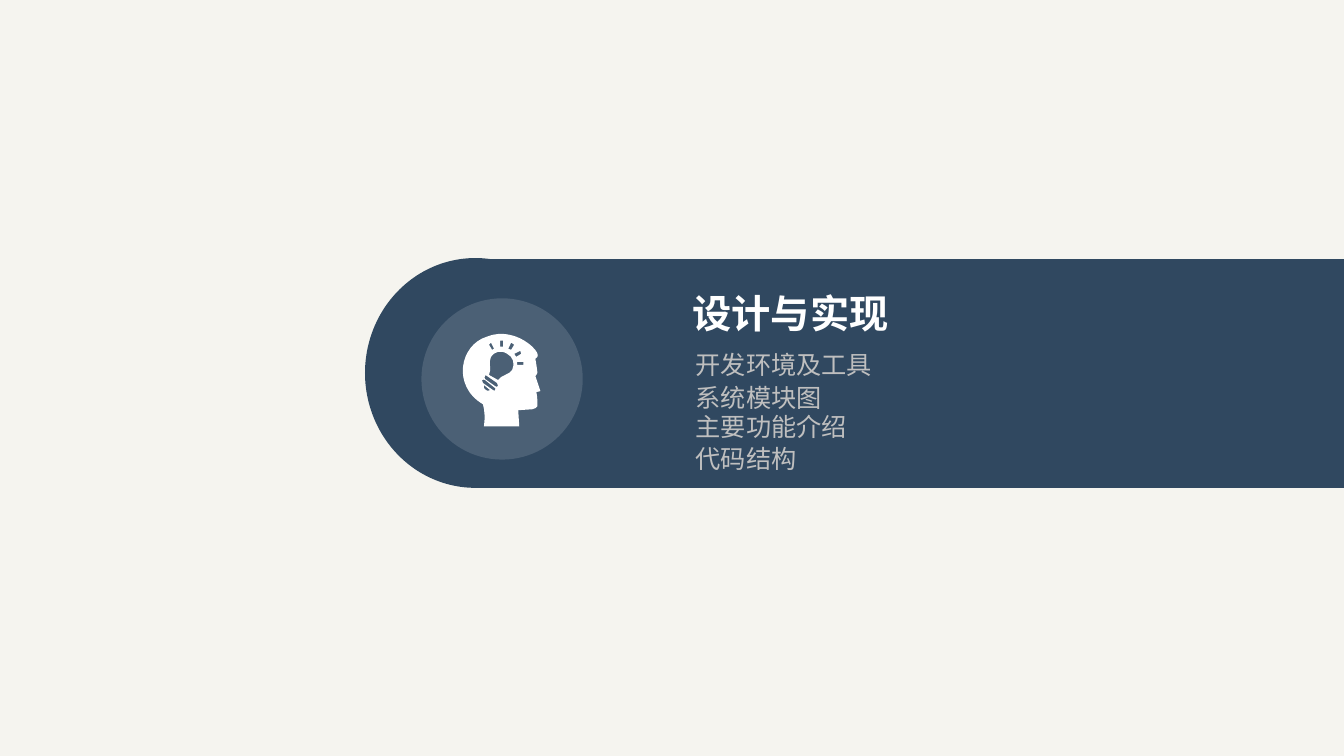
from lxml.etree import SubElement
from pptx import Presentation
from pptx.dml.color import RGBColor
from pptx.enum.shapes import MSO_SHAPE as Kind
from pptx.enum.text import MSO_ANCHOR as Anchor, MSO_AUTO_SIZE as Fit, PP_ALIGN as Align
from pptx.oxml.ns import qn
from pptx.util import Inches, Pt

WIDE, HIGH = 13.33, 7.5
FONT = "Noto Sans CJK SC"
CREAM = RGBColor(0xF5, 0xF4, 0xEF)
NAVY = RGBColor(0x30, 0x48, 0x60)
SLATE = RGBColor(0x4B, 0x60, 0x75)
WHITE = RGBColor(0xFF, 0xFF, 0xFF)
GREY = RGBColor(0xBF, 0xBF, 0xBF)

TITLE = "设计与实现"
TOPICS = [("开发环境及工具", 0.91, 2.23), ("系统模块图", 1.23, 1.73),
          ("主要功能介绍", 1.52, 2.23), ("代码结构", 1.84, 2.23)]

ICON_W, ICON_H = 89, 95
HEAD = [(32, 95), (33, 88, 33, 80, 31, 73), (0, 55, 8, 14, 35, 6),
        (49, 0, 67, 4, 80, 16), (89, 25, 84, 27, 84, 27), (83, 28),
        (84, 33, 85, 41, 85, 42), (85, 43, 83, 45, 83, 45), (88, 60),
        (84, 61), (85, 66, 85, 70, 85, 75), (85, 76, 82, 78, 80, 78),
        (66, 79), (67, 95)]
BULB = [(55, 23), (49, 19, 42, 21, 39, 26), (36, 32, 40, 38, 37, 44),
        (46, 49), (49, 44, 57, 44, 60, 39), (63, 33, 61, 26, 55, 23)]
SCREW = [
    [(45, 52), (35, 45), (34, 44, 33, 44, 33, 45), (32, 46, 33, 47, 33, 48),
     (43, 55), (44, 56, 45, 56, 46, 55), (46, 54, 46, 53, 45, 52)],
    [(43, 57), (33, 49), (32, 48, 31, 49, 30, 49), (30, 50, 30, 51, 31, 52),
     (41, 59), (42, 60, 43, 60, 43, 59), (44, 58, 43, 57, 43, 57)],
    [(32, 54), (31, 56, 32, 58, 34, 59), (35, 60, 37, 60, 38, 59)],
]
RAYS = [
    [(59, 19), (62, 14), (59, 12), (56, 18)],
    [(64, 26), (69, 23), (68, 20), (62, 23)],
    [(51, 16), (51, 10), (48, 10), (48, 16)],
    [(42, 18), (39, 12), (37, 14), (40, 19)],
    [(65, 34), (71, 34), (71, 31), (65, 31)],
]


def paint(shape, color):
    """Give a shape a flat fill without line or shadow."""
    shape.shadow.inherit = False
    shape.fill.solid()
    shape.fill.fore_color.rgb = color
    shape.line.fill.background()


def block(slide, kind, box, color):
    """Add a flat preset shape."""
    paint(slide.shapes.add_shape(kind, *map(Inches, box)), color)


def trace(route, steps):
    """Append one closed contour of lines and cubic curves."""
    for i, step in enumerate(steps):
        tag = "cubicBezTo" if len(step) == 6 else "lnTo" if i else "moveTo"
        node = SubElement(route, qn(f"a:{tag}"))
        for x, y in zip(step[::2], step[1::2]):
            SubElement(node, qn("a:pt"), x=str(x), y=str(y))
    SubElement(route, qn("a:close"))


def icon(slide, left, top):
    """Draw the head with the bulb cut out of it."""
    pen = slide.shapes.build_freeform(scale=Inches(0.01))
    pen.add_line_segments([(ICON_W, 0), (ICON_W, ICON_H)])
    shape = pen.convert_to_shape(Inches(left), Inches(top))
    route = next(shape._element.iter(qn("a:path")))
    for node in list(route):
        route.remove(node)
    route.set("w", str(ICON_W))
    route.set("h", str(ICON_H))
    for steps in [BULB, *SCREW, *RAYS, HEAD]:
        trace(route, steps)
    paint(shape, WHITE)


def write(shape, text, box, size, color, bold=False, pad=0):
    """Place one line of left-aligned text in a box."""
    shape.left, shape.top, shape.width, shape.height = map(Inches, box)
    frame = shape.text_frame
    frame.text = text
    frame.word_wrap = True
    frame.auto_size = Fit.NONE
    frame.vertical_anchor = Anchor.MIDDLE
    frame.margin_left = Inches(pad)
    frame.margin_right = frame.margin_top = frame.margin_bottom = 0
    line = frame.paragraphs[0]
    line.alignment = Align.LEFT
    font = line.runs[0].font
    font.name, font.size, font.bold = FONT, Pt(size), bold
    font.color.rgb = color
    SubElement(line.runs[0]._r.get_or_add_rPr(), qn("a:ea"), typeface=FONT)


def band(slide, left, top):
    """Draw the rounded band that runs to the right edge."""
    block(slide, Kind.OVAL, (left, top, 2.19, 2.28), NAVY)
    start = left + 1.06
    block(slide, Kind.RECTANGLE, (start, top + 0.01, WIDE - start, 2.27), NAVY)


def badge(slide, left, top):
    """Draw the disc and its icon."""
    block(slide, Kind.OVAL, (left, top, 1.6, 1.6), SLATE)
    icon(slide, left + 0.3, top + 0.32)


def words(slide, left, top):
    """Set the section title and its topics."""
    title = slide.shapes.title
    write(title, TITLE, (left - 0.3, top + 0.26, 4.41, 0.57), 28, WHITE, True, 0.27)
    title._element.getparent().append(title._element)
    for text, drop, width in TOPICS:
        label = slide.shapes.add_textbox(0, 0, 0, 0)
        write(label, text, (left, top + drop, width, 0.3), 18, GREY)


def section(deck):
    """Build the section slide."""
    slide = deck.slides.add_slide(deck.slide_layouts[5])
    slide.background.fill.solid()
    slide.background.fill.fore_color.rgb = CREAM
    left, top = 3.62, 2.56
    band(slide, left, top)
    badge(slide, left + 0.56, top + 0.4)
    words(slide, left + 3.28, top)


def main():
    """Create and save the deck."""
    deck = Presentation()
    deck.slide_width, deck.slide_height = Inches(WIDE), Inches(HIGH)
    section(deck)
    deck.save("out.pptx")


if __name__ == "__main__":
    main()
